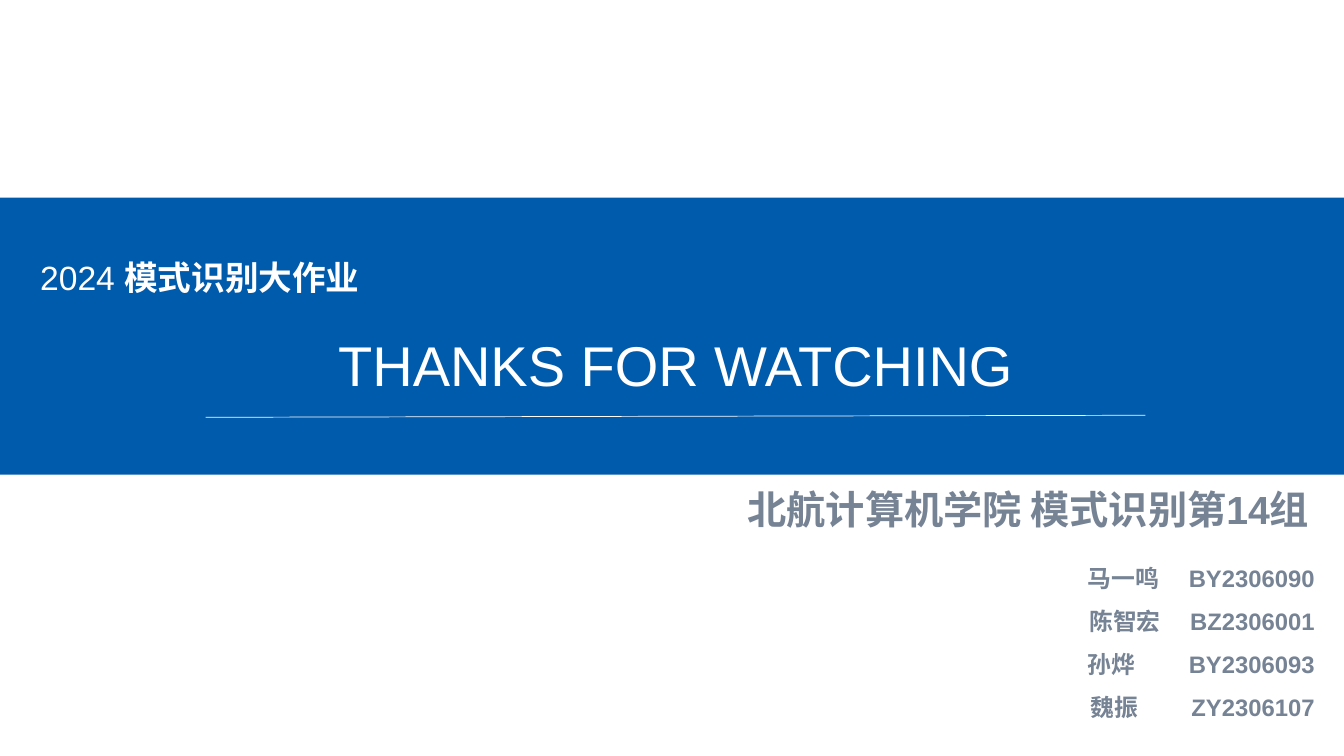
from dataclasses import dataclass

import pptx
import pptx.dml.color
import pptx.enum.shapes
import pptx.enum.text
import pptx.oxml
import pptx.oxml.ns
import pptx.util
from pptx.util import Inches

RGBColor = pptx.dml.color.RGBColor
Align = pptx.enum.text.PP_ALIGN

BLUE = RGBColor(0x00, 0x5B, 0xAC)
WHITE = RGBColor(0xFF, 0xFF, 0xFF)
GRAY = RGBColor(0x76, 0x83, 0x95)
LATIN_FONT = "Arial"
CHINESE_FONT = "Noto Sans CJK SC"


@dataclass(frozen=True)
class TextBlock:
    left: float
    top: float
    width: float
    height: float
    paragraphs: list[list[str]]
    size: float
    color: RGBColor
    alignment: Align
    bold: bool = False
    wrap: bool = True
    line_spacing: float = 1.0


COURSE = TextBlock(0.3, 2.3, 3.49, 0.63, [["2024 ", "模式识别大作业"]],
                   24, WHITE, Align.LEFT, wrap=False, line_spacing=1.5)
THANKS = TextBlock(3.25, 3.23, 6.9, 0.77, [["THANKS FOR WATCHING"]],
                   40, WHITE, Align.CENTER, wrap=False)
GROUP = TextBlock(7.2, 4.77, 6, 0.57, [["北航计算机学院 模式识别第14组"]],
                  28, GRAY, Align.CENTER, bold=True)
MEMBERS = TextBlock(5.49, 5.4, 7.65, 1.82,
                    [["马一鸣\tBY2306090"], ["陈智宏\tBZ2306001"],
                     ["孙烨\tBY2306093"], ["魏振\tZY2306107"]],
                    17, GRAY, Align.RIGHT, bold=True, line_spacing=1.5)


def format_run(run, block: TextBlock, chinese: bool) -> None:
    run.font.size = pptx.util.Pt(block.size)
    run.font.color.rgb = block.color
    run.font.bold = block.bold or chinese
    run.font.name = CHINESE_FONT if chinese else LATIN_FONT
    east_asian = pptx.oxml.parse_xml(
        f'<a:ea {pptx.oxml.ns.nsdecls("a")} typeface="{CHINESE_FONT}"/>')
    run.font._element.find(pptx.oxml.ns.qn("a:latin")).addnext(east_asian)


def fill_text(shape, block: TextBlock) -> None:
    shape.left, shape.top = Inches(block.left), Inches(block.top)
    shape.width, shape.height = Inches(block.width), Inches(block.height)
    frame = shape.text_frame
    frame.text = "\n".join(runs[0] for runs in block.paragraphs)
    frame.word_wrap = block.wrap
    frame.auto_size = pptx.enum.text.MSO_AUTO_SIZE.SHAPE_TO_FIT_TEXT
    frame.vertical_anchor = pptx.enum.text.MSO_ANCHOR.TOP
    for paragraph, texts in zip(frame.paragraphs, block.paragraphs):
        paragraph.alignment = block.alignment
        paragraph.line_spacing = block.line_spacing
        paragraph.space_before = pptx.util.Pt(0)
        for text in texts[1:]:
            paragraph.add_run().text = text
        for index, run in enumerate(paragraph.runs):
            format_run(run, block, chinese=index > 0)


def plain_list(shape) -> None:
    for paragraph in shape.text_frame.paragraphs:
        properties = paragraph._p.get_or_add_pPr()
        properties.set("marL", "0")
        properties.set("indent", "0")
        properties.set("defTabSz", str(Inches(1)))
        properties.append(pptx.oxml.parse_xml(
            f'<a:buNone {pptx.oxml.ns.nsdecls("a")}/>'))


def add_band(slide) -> None:
    band = slide.shapes.add_shape(
        pptx.enum.shapes.MSO_SHAPE.RECTANGLE,
        Inches(0), Inches(1.96), Inches(13.33), Inches(2.75))
    band.shadow.inherit = False
    band.fill.solid()
    band.fill.fore_color.rgb = BLUE
    band.line.fill.background()


def add_underline(slide) -> None:
    underline = slide.shapes.add_connector(
        pptx.enum.shapes.MSO_CONNECTOR.STRAIGHT,
        Inches(2.04), Inches(4.14), Inches(11.36), Inches(4.12))
    underline.line.color.rgb = WHITE
    underline.line.width = pptx.util.Pt(0.5)
    underline.element.spPr.append(pptx.oxml.parse_xml(
        f'<a:effectLst {pptx.oxml.ns.nsdecls("a")}/>'))


def main() -> None:
    presentation = pptx.Presentation()
    presentation.slide_width = Inches(13.33)
    presentation.slide_height = Inches(7.5)
    slide = presentation.slides.add_slide(presentation.slide_layouts[1])
    title, body = slide.placeholders

    add_band(slide)
    add_underline(slide)
    for block in (COURSE, GROUP):
        text_box = slide.shapes.add_textbox(0, 0, 0, 0)
        fill_text(text_box, block)
    fill_text(title, THANKS)
    fill_text(body, MEMBERS)
    plain_list(body)
    for placeholder in (title, body):
        placeholder.element.getparent().append(placeholder.element)

    presentation.save("out.pptx")


if __name__ == "__main__":
    main()
